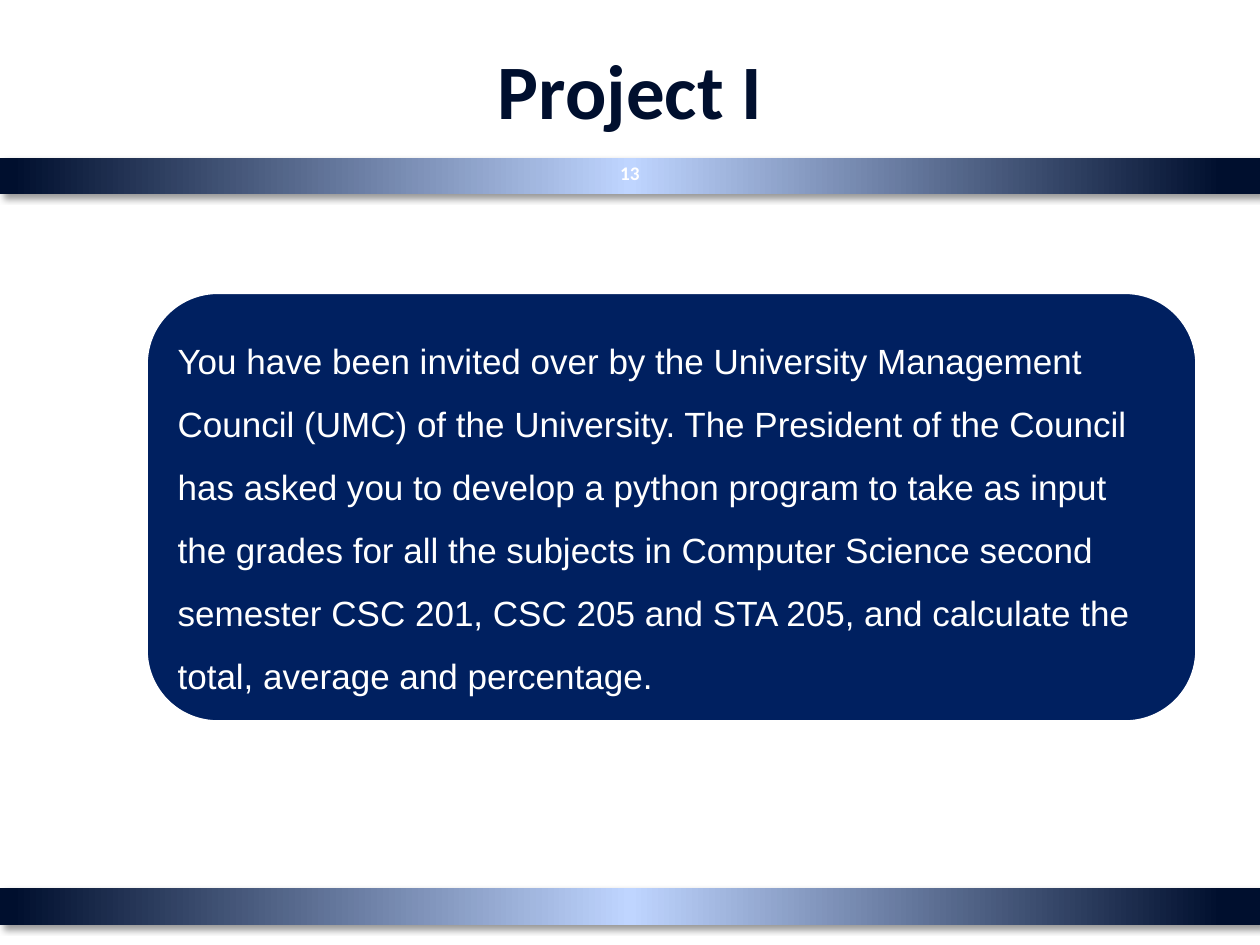
from lxml.etree import SubElement
from pptx import Presentation
from pptx.dml.color import RGBColor
from pptx.enum.shapes import MSO_SHAPE as Shape
from pptx.enum.text import MSO_ANCHOR as Anchor, PP_ALIGN as Align
from pptx.oxml import parse_xml
from pptx.oxml.ns import nsdecls, qn
from pptx.util import Inches, Pt

TITLE = "Project I"
NUMBER = "13"
TASK = (
    "You have been invited over by the University Management Council (UMC) of the "
    "University. The President of the Council has asked you to develop a python program "
    "to take as input the grades for all the subjects in Computer Science second semester "
    "CSC 201, CSC 205 and STA 205, and calculate the total, average and percentage."
)
WIDTH, HEIGHT = 10, 7.5
NAVY, PALE, PANEL, WHITE = "000F2E", "BFD5FF", "002060", "FFFFFF"
BAND_TOPS, BAND_HEIGHT = (7.05, 1.25), 0.29
BAND_STOPS = ((0, NAVY), (3, NAVY), (50, PALE), (99, NAVY), (100, NAVY))
PANEL_BOX, PANEL_INSET = (1.16, 2.32, 8.34, 3.41), 0.17
FORMATS = {
    "title": {"name": "Calibri", "size": Pt(44), "bold": True},
    "number": {"name": "Calibri", "size": Pt(11), "bold": True},
    "task": {"name": "Arial", "size": Pt(20), "bold": False},
}


def color(value):
    """Turn a hex string into a colour."""
    return RGBColor.from_string(value)


def write(box, text, style, ink, align, margins=(0.1, 0.05)):
    """Put one formatted paragraph in a box and return it."""
    frame = box.text_frame
    frame.word_wrap = True
    frame.vertical_anchor = Anchor.MIDDLE
    frame.margin_left = frame.margin_right = Inches(margins[0])
    frame.margin_top = frame.margin_bottom = Inches(margins[1])
    para = frame.paragraphs[0]
    para.alignment = align
    span = para.add_run()
    span.text = text
    for key, value in FORMATS[style].items():
        setattr(span.font, key, value)
    span.font.color.rgb = color(ink)
    return para


def add_band(page, top):
    """Draw a full-width gradient band with a soft shadow."""
    band = page.shapes.add_shape(
        Shape.RECTANGLE, 0, Inches(top), Inches(WIDTH), Inches(BAND_HEIGHT))
    band.line.fill.background()
    band.fill.gradient()
    band.fill.gradient_angle = 180
    stops = band.fill._fill._gradFill.find(qn("a:gsLst"))
    stops[:] = []
    for place, value in BAND_STOPS:
        stop = SubElement(stops, qn("a:gs"), pos=str(place * 1000))
        SubElement(stop, qn("a:srgbClr"), val=value)
    band._element.spPr.append(parse_xml(
        f'<a:effectLst {nsdecls("a")}><a:outerShdw blurRad="{Pt(4)}" dist="{Pt(3)}" '
        'dir="2700000" algn="tl" rotWithShape="0"><a:srgbClr val="000000">'
        '<a:alpha val="40000"/></a:srgbClr></a:outerShdw></a:effectLst>'))


def add_panel(page):
    """Draw the rounded panel and the task text inside it."""
    left, top, width, height = PANEL_BOX
    panel = page.shapes.add_shape(Shape.ROUNDED_RECTANGLE, *map(Inches, PANEL_BOX))
    panel.shadow.inherit = False
    panel.fill.solid()
    panel.fill.fore_color.rgb = color(PANEL)
    panel.line.color.rgb = color(WHITE)
    panel.line.width = Pt(2)
    inner = (left + PANEL_INSET, top + PANEL_INSET,
             width - 2 * PANEL_INSET, height - 2 * PANEL_INSET)
    box = page.shapes.add_textbox(*map(Inches, inner))
    para = write(box, TASK, "task", WHITE, Align.LEFT, (0.08, 0.08))
    para.line_spacing = 1.5


def main():
    """Build the slide and save it."""
    deck = Presentation()
    deck.slide_width, deck.slide_height = Inches(WIDTH), Inches(HEIGHT)
    page = deck.slides.add_slide(deck.slide_layouts[5])
    for top in BAND_TOPS:
        add_band(page, top)
    title = page.shapes.title
    title.left, title.top, title.width, title.height = map(Inches, (0.5, 0.08, 9, 1.25))
    write(title, TITLE, "title", NAVY, Align.CENTER)
    number = page.shapes.add_textbox(*map(Inches, (4.79, 1.17, 0.42, 0.4)))
    write(number, NUMBER, "number", WHITE, Align.CENTER)
    add_panel(page)
    deck.save("out.pptx")


if __name__ == "__main__":
    main()
